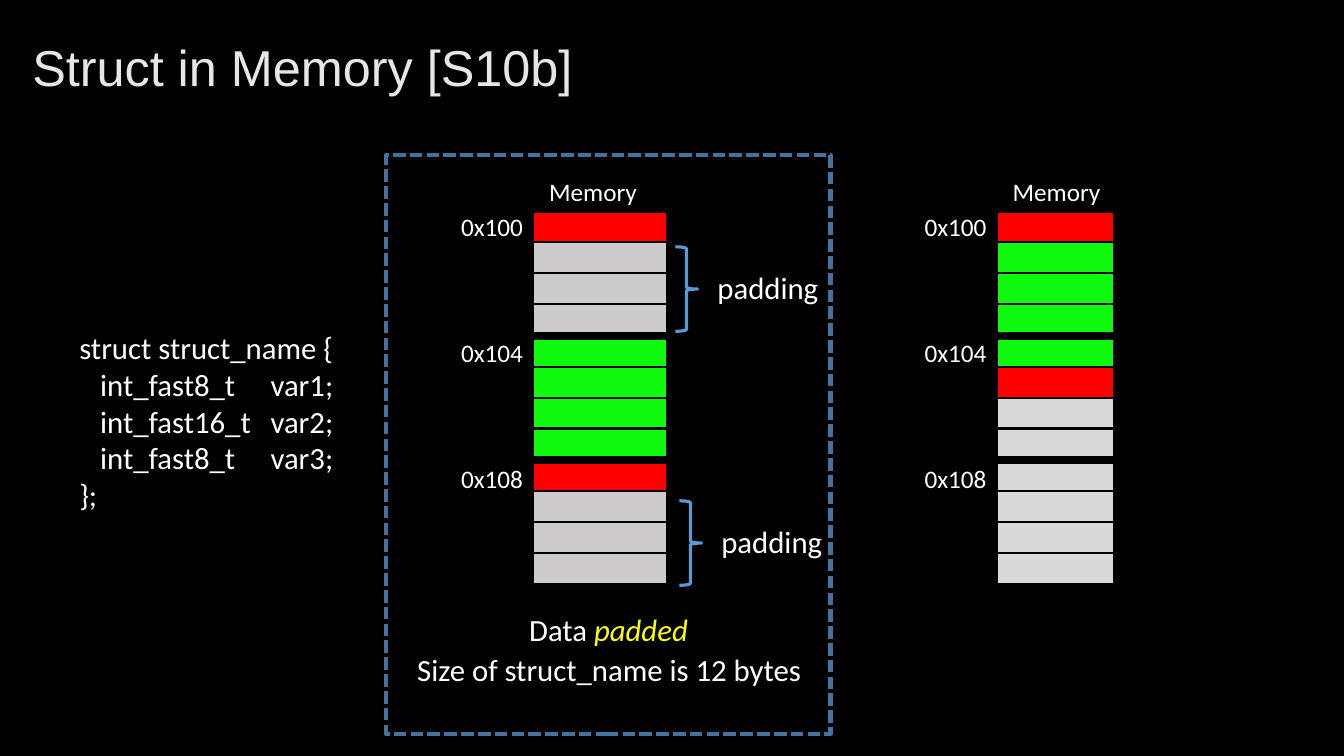
"""Build a slide that compares padded and packed struct layouts in memory."""
import pptx
import pptx.dml.color
import pptx.enum.dml
import pptx.enum.shapes
import pptx.enum.text
import pptx.oxml
import pptx.util

Cm = pptx.util.Cm
Pt = pptx.util.Pt
Align = pptx.enum.text.PP_ALIGN
Preset = pptx.enum.shapes.MSO_SHAPE
RED, GREEN, GRAY, SILVER = "FF0000", "0FFA0F", "CCCACA", "D9D9D9"
BLACK, WHITE, YELLOW = "000000", "FFFFFF", "FFFF00"


def color(hex_code):
    return pptx.dml.color.RGBColor.from_string(hex_code)


def write(frame, lines, size=22, font="Calibri", fill=WHITE, align=Align.LEFT,
          spacing=None, tab=None, accent=YELLOW):
    for number, line in enumerate(lines):
        paragraph = frame.paragraphs[0] if number == 0 else frame.add_paragraph()
        paragraph.alignment = align
        if spacing:
            paragraph.line_spacing = spacing
        if tab:
            stops = pptx.oxml.parse_xml(
                '<a:tabLst xmlns:a="http://schemas.openxmlformats.org/drawingml/2006/main">'
                f'<a:tab pos="{tab}" algn="l"/></a:tabLst>')
            paragraph._p.get_or_add_pPr().append(stops)
        plain, *emphasized = [line] if isinstance(line, str) else line
        for words in (plain, *emphasized):
            run = paragraph.add_run()
            run.text = words
            run.font.name = font
            run.font.size = Pt(size)
            run.font.color.rgb = color(accent if words in emphasized else fill)
            if words in emphasized:
                run.font.italic = True


class MemorySlide:
    def __init__(self, deck):
        self.slide = deck.slides.add_slide(deck.slide_layouts[5])
        self.slide.background.fill.solid()
        self.slide.background.fill.fore_color.rgb = color(BLACK)

    def title(self, words, left, top, width, height):
        heading = self.slide.shapes.title
        heading.left, heading.top = Cm(left), Cm(top)
        heading.width, heading.height = Cm(width), Cm(height)
        heading.text_frame.vertical_anchor = pptx.enum.text.MSO_ANCHOR.MIDDLE
        write(heading.text_frame, [words], size=36, font="Arial", fill="E7E6E6", spacing=0.9)

    def text(self, lines, left, top, width, height, parent=None, wrap=False, **style):
        box = (parent or self.slide).shapes.add_textbox(Cm(left), Cm(top), Cm(width), Cm(height))
        box.text_frame.word_wrap = wrap
        write(box.text_frame, lines, **style)

    def shape(self, preset, left, top, width, height, line, weight,
              fill=None, dash=None, parent=None):
        figure = (parent or self.slide).shapes.add_shape(
            preset, Cm(left), Cm(top), Cm(width), Cm(height))
        figure.shadow.inherit = False
        if fill:
            figure.fill.solid()
            figure.fill.fore_color.rgb = color(fill)
        else:
            figure.fill.background()
        figure.line.color.rgb = color(line)
        figure.line.width = Pt(weight)
        if dash:
            figure.line.dash_style = dash

    def memory(self, left, width, cells):
        top, cell_height, word_pitch = 5.33, 0.78, 3.13
        group = self.slide.shapes.add_group_shape()
        for index, fill in enumerate(cells):
            word, byte = divmod(index, 4)
            self.shape(Preset.RECTANGLE, left, top + word * word_pitch + byte * cell_height,
                       width, cell_height, BLACK, 1.5, fill=fill, parent=group)
        self.text(["Memory"], left + 0.15, 4.32, 2.75, 1.02, parent=group, size=18)
        for word, address in enumerate(["0x100", "0x104", "0x108"]):
            self.shape(Preset.RECTANGLE, left - 0.05, top - 0.05 + word * word_pitch,
                       width + 0.1, 3.23, BLACK, 3, parent=group)
            self.text([address], left - 2.07, 5.21 + word * 3.17, 2.1, 1.02,
                      parent=group, size=18)

    def padding(self, left, top):
        self.text(["padding"], left + 0.81, top + 0.42, 3.07, 1.19)
        self.shape(Preset.RIGHT_BRACE, left, top, 0.56, 2.13, "5B9BD5", 2.25)


def main():
    deck = pptx.Presentation()
    deck.slide_width, deck.slide_height = Cm(33.87), Cm(19.05)
    page = MemorySlide(deck)
    page.title("Struct in Memory [S10b]", 0.56, 0.53, 32.74, 2.46)
    page.text(["struct struct_name {",
               "   int_fast8_t\tvar1;",
               "   int_fast16_t\tvar2;",
               "   int_fast8_t\tvar3;",
               "};"], 1.75, 8.15, 7.98, 4.95, wrap=True, tab=Cm(4.82))
    page.memory(13.44, 3.38, [RED] + [GRAY] * 3 + [GREEN] * 4 + [RED] + [GRAY] * 3)
    page.shape(Preset.RECTANGLE, 9.73, 3.91, 11.2, 14.58, "43739E", 3,
               dash=pptx.enum.dml.MSO_LINE.SQUARE_DOT)
    page.padding(17.02, 6.22)
    page.padding(17.12, 12.62)
    page.text(["Size of struct_name is 12 bytes"], 10.11, 16.28, 10.49, 1.19,
              wrap=True, align=Align.CENTER)
    page.text([("Data ", "padded")], 13.06, 15.27, 4.55, 1.19, align=Align.CENTER)
    page.memory(25.12, 2.95, [RED] + [GREEN] * 4 + [RED] + [SILVER] * 6)
    deck.save("out.pptx")


if __name__ == "__main__":
    main()
